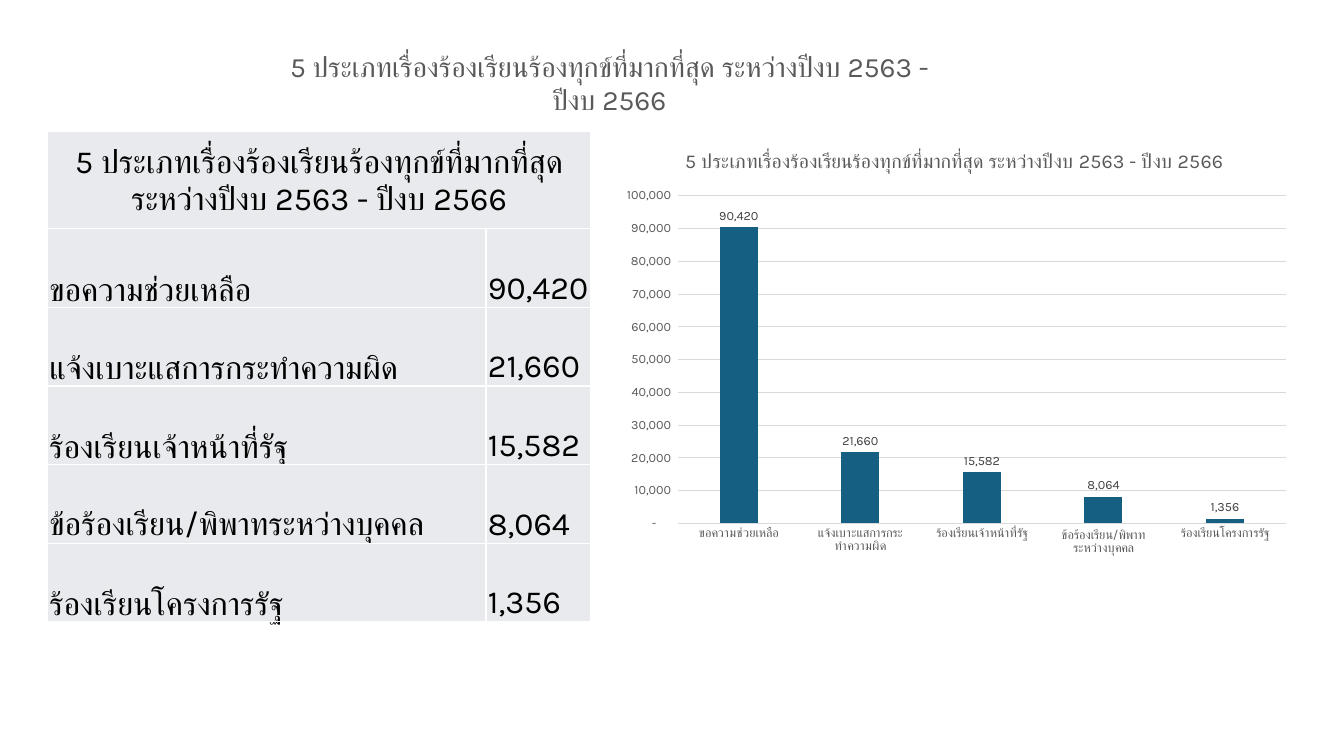
import pptx
import pptx.util
import pptx.dml.color
import pptx.chart.data
import pptx.enum.chart
import pptx.enum.text
import pptx.oxml
import pptx.oxml.ns

Inches = pptx.util.Inches
Pt = pptx.util.Pt
FACE = "Karla"
GREY = "595959"
RULE = "D9D9D9"
FORMAT = '_-* #,##0_-;\\-* #,##0_-;_-* "-"??_-;_-@_'


def tint(code):
    return pptx.dml.color.RGBColor.from_string(code)


def write(frame, text, size=23, color="000000", align="LEFT"):
    frame.text = text
    for para in frame.paragraphs:
        para.alignment = getattr(pptx.enum.text.PP_ALIGN, align)
        font = para.runs[0].font
        font.name, font.size, font.bold = FACE, Pt(size), False
        font.color.rgb = tint(color)


topic = "5 ประเภทเรื่องร้องเรียนร้องทุกข์ที่มากที่สุด"
span = "ระหว่างปีงบ 2563 - ปีงบ 2566"
title = f"{topic} {span}"
counts = {
    "ขอความช่วยเหลือ": 90420,
    "แจ้งเบาะแสการกระทำความผิด": 21660,
    "ร้องเรียนเจ้าหน้าที่รัฐ": 15582,
    "ข้อร้องเรียน/พิพาทระหว่างบุคคล": 8064,
    "ร้องเรียนโครงการรัฐ": 1356,
}

deck = pptx.Presentation()
deck.slide_width, deck.slide_height = Inches(13.33), Inches(7.5)
slide = deck.slides.add_slide(deck.slide_layouts[6])

table = slide.shapes.add_table(
    len(counts) + 1, 2, Inches(0.47), Inches(1.3), Inches(5.39), Inches(4.87)
).table
table.columns[0].width, table.columns[1].width = Inches(4.35), Inches(1.04)
for row in table.rows:
    row.height = Inches(0.78)
table.rows[0].height = Inches(0.97)
table.cell(0, 0).merge(table.cell(0, 1))

for cell in table.iter_cells():
    cell.vertical_anchor = pptx.enum.text.MSO_ANCHOR.BOTTOM
    cell.margin_left = cell.margin_right = cell.margin_top = Inches(0.02)
    cell.margin_bottom = 0
    cell.fill.solid()
    cell.fill.fore_color.rgb = tint("E8EAED")
    props = cell._tc.get_or_add_tcPr()
    for spot, side in enumerate(("lnL", "lnR", "lnT", "lnB")):
        props.insert(spot, pptx.oxml.parse_xml(
            f'<a:{side} {pptx.oxml.ns.nsdecls("a")} w="12700"><a:solidFill>'
            f'<a:srgbClr val="FFFFFF"/></a:solidFill></a:{side}>'))

head = table.cell(0, 0)
head.margin_left = head.margin_right = Inches(0.21)
head.margin_top = head.margin_bottom = Inches(0.1)
write(head.text_frame, f"{topic}\n{span}", align="CENTER")
for row, (name, count) in enumerate(counts.items(), 1):
    write(table.cell(row, 0).text_frame, name)
    write(table.cell(row, 1).text_frame, f"{count:,}")

data = pptx.chart.data.CategoryChartData()
data.categories = list(counts)
data.add_series("Series 1", list(counts.values()))
chart = slide.shapes.add_chart(
    pptx.enum.chart.XL_CHART_TYPE.COLUMN_CLUSTERED,
    Inches(6.04), Inches(1.3), Inches(6.85), Inches(4.28), data
).chart
chart.font.name, chart.font.size = FACE, Pt(10)
chart.has_legend = False
chart.has_title = True
write(chart.chart_title.text_frame, title, size=14, color=GREY, align="CENTER")
chart.chart_title.include_in_layout = False

plot = chart.plots[0]
plot.vary_by_categories = False
plot.gap_width, plot.overlap = 219, -27
bars = plot.series[0]
bars.format.fill.solid()
bars.format.fill.fore_color.rgb = tint("156082")
plot.has_data_labels = True
labels = plot.data_labels
labels.show_value = True
labels.position = pptx.enum.chart.XL_LABEL_POSITION.OUTSIDE_END

for part, color in (
    (chart.category_axis.tick_labels, GREY),
    (chart.value_axis.tick_labels, GREY),
    (labels, "404040"),
):
    part.font.name, part.font.size = FACE, Pt(9)
    part.font.color.rgb = tint(color)
for part in (chart.value_axis.tick_labels, labels):
    part.number_format = FORMAT
    part.number_format_is_linked = False
for axis in (chart.category_axis, chart.value_axis):
    axis.major_tick_mark = axis.minor_tick_mark = pptx.enum.chart.XL_TICK_MARK.NONE
value = chart.value_axis
value.minimum_scale, value.maximum_scale, value.major_unit = 0, 100000, 10000
value.format.line.fill.background()
for line in (chart.category_axis.format.line, value.major_gridlines.format.line):
    line.color.rgb = tint(RULE)
    line.width = Pt(0.75)

area = chart.element.find(".//" + pptx.oxml.ns.qn("c:plotArea"))
for old in area.findall(pptx.oxml.ns.qn("c:layout")):
    area.remove(old)
area.insert(0, pptx.oxml.parse_xml(
    f'<c:layout {pptx.oxml.ns.nsdecls("c")}><c:manualLayout>'
    '<c:layoutTarget val="inner"/><c:xMode val="edge"/><c:yMode val="edge"/>'
    '<c:x val="0.1"/><c:y val="0.15"/><c:w val="0.88"/><c:h val="0.76"/>'
    '</c:manualLayout></c:layout>'))

box = slide.shapes.add_textbox(Inches(2.71), Inches(0.44), Inches(6.67), Inches(0.44))
box.text_frame.word_wrap = True
box.text_frame.auto_size = pptx.enum.text.MSO_AUTO_SIZE.SHAPE_TO_FIT_TEXT
write(box.text_frame, title, size=20, color=GREY, align="CENTER")

deck.save("out.pptx")
